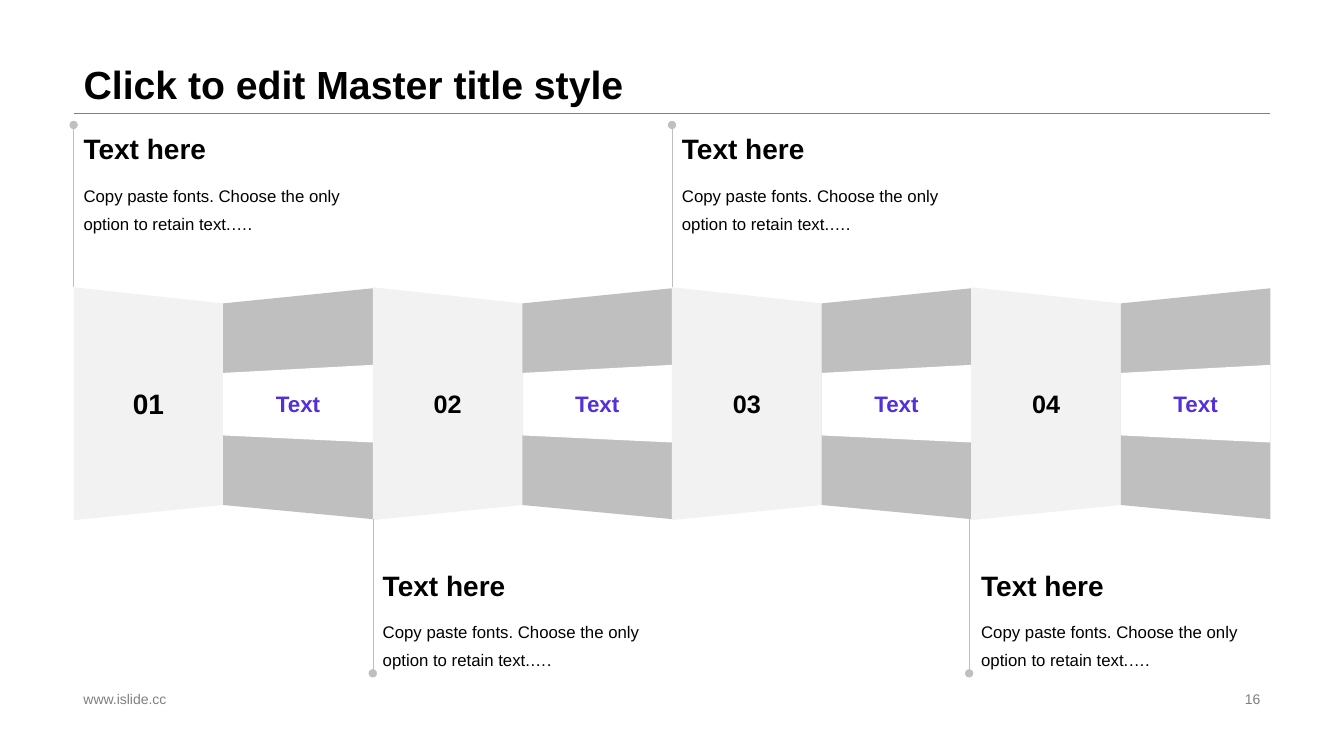
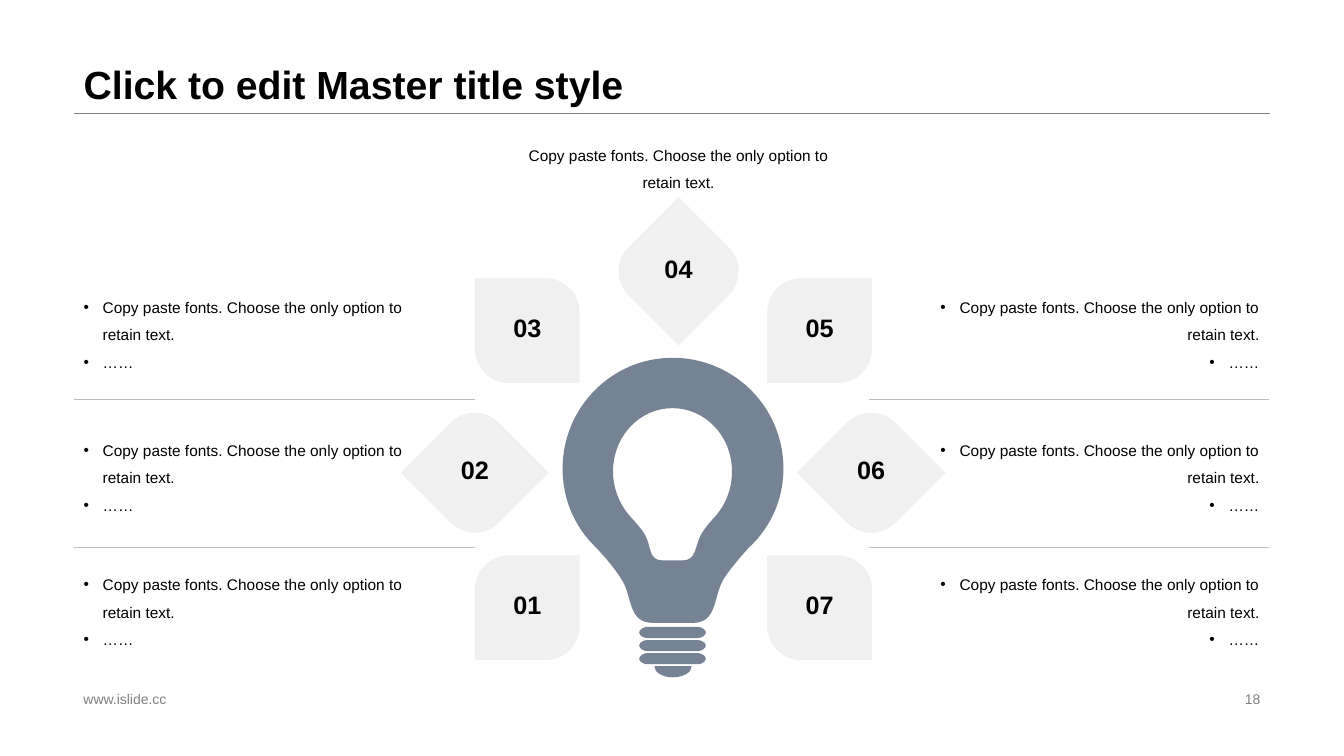
from dataclasses import dataclass

from lxml import etree
from pptx import Presentation
from pptx.dml.color import RGBColor
from pptx.enum.shapes import MSO_CONNECTOR, MSO_SHAPE
from pptx.enum.text import MSO_ANCHOR, MSO_AUTO_SIZE, PP_ALIGN
from pptx.oxml.ns import qn
from pptx.util import Inches, Pt


@dataclass(frozen=True)
class Theme:
    font: str = "Arial"
    ink: str = "000000"
    accent: str = "5330D9"
    muted: str = "808080"
    fold_light: str = "F2F2F2"
    fold_dark: str = "BFBFBF"
    paper: str = "FFFFFF"
    tile: str = "F0F0F0"
    bulb: str = "768394"
    hairline: float = 0.25
    title: int = 28
    heading: int = 20
    number: int = 18
    label: int = 16
    body: int = 12
    note: int = 11
    footer: int = 10


THEME = Theme()
LEFT, RIGHT = 0.73, 12.6
TITLE = "Click to edit Master title style"
FOOTER = "www.islide.cc"

# Folded band: number, number size, callout side, shift of the callout line
PANELS = [
    ("01", THEME.heading, "above", 0),
    ("02", THEME.number, "below", 0),
    ("03", THEME.number, "above", 0),
    ("04", THEME.number, "below", -0.02),
]
PANEL_LABEL = "Text"
CALLOUT_HEADING = "Text here"
CALLOUT_BODY = "Copy paste fonts. Choose the only option to retain text.…."
# Callout side: heading top, line start, line end
CALLOUT_SIDES = {"above": (1.24, 2.85, 1.24), "below": (5.57, 5.15, 6.68)}
FOLD = (RIGHT - LEFT) / (2 * len(PANELS))
# Fold heights: left top, right top, right bottom, left bottom
LIGHT_FOLD = (2.85, 3.01, 5.01, 5.16)
DARK_FOLD = (3.01, 2.86, 5.15, 5.01)
LABEL_STRIP = (3.7, 3.62, 4.39, 4.32)

# Tiles round the bulb: number, left, top, rotation, rounding of the two diagonals
ROUND = 0.326
TILE_SIZE = 1.04
TILES = [
    ("01", 4.71, 5.51, 0, (ROUND, 0)),
    ("02", 4.19, 4.17, 225, (ROUND, 0)),
    ("03", 4.71, 2.76, 0, (0, ROUND)),
    ("04", 6.21, 2.17, 135, (ROUND, 0)),
    ("05", 7.61, 2.76, 0, (ROUND, 0)),
    ("06", 8.12, 4.17, 225, (ROUND, 0)),
    ("07", 7.61, 5.51, 0, (0, ROUND)),
]
NOTE = "Copy paste fonts. Choose the only option to retain text."
NOTE_BULLETS = [NOTE, "……"]
NOTE_TOPS = [2.79, 4.21, 5.54]
DIVIDER_TOPS = [3.96, 5.43]
# Note column: text left, divider start, divider end, alignment
NOTE_COLUMNS = [
    (LEFT, LEFT, 4.71, PP_ALIGN.LEFT),
    (9.07, 8.62, 12.59, PP_ALIGN.RIGHT),
]

# Each outline starts at a point; two numbers make a straight step, six a cubic curve
GLASS_OUTLINES = [
    [(6.67, 3.55),
     (7.28, 3.55, 7.77, 4.04, 7.77, 4.65), (7.77, 4.96, 7.64, 5.24, 7.42, 5.44),
     (7.36, 5.51, 7.25, 5.63, 7.18, 5.74), (7.07, 5.92, 7.12, 6.18, 6.87, 6.18),
     (6.48, 6.18),
     (6.22, 6.18, 6.28, 5.92, 6.16, 5.74), (6.09, 5.63, 5.98, 5.5, 5.86, 5.38),
     (5.68, 5.18, 5.58, 4.93, 5.58, 4.65), (5.58, 4.04, 6.07, 3.55, 6.67, 3.55)],
    [(6.67, 4.05),
     (6.34, 4.05, 6.08, 4.33, 6.08, 4.68), (6.08, 4.84, 6.14, 4.99, 6.23, 5.1),
     (6.29, 5.17, 6.36, 5.24, 6.4, 5.31), (6.46, 5.42, 6.43, 5.56, 6.57, 5.56),
     (6.77, 5.56),
     (6.91, 5.56, 6.89, 5.42, 6.95, 5.31), (6.99, 5.24, 7.04, 5.18, 7.08, 5.14),
     (7.19, 5.02, 7.26, 4.86, 7.26, 4.68), (7.26, 4.33, 7, 4.05, 6.67, 4.05)],
]
BASE_OUTLINE = [
    (6.49, 6.61), (6.86, 6.61),
    (6.86, 6.67, 6.78, 6.72, 6.67, 6.72), (6.57, 6.72, 6.49, 6.67, 6.49, 6.61),
]
THREAD_TOPS = [6.22, 6.35, 6.48]


def set_all(target, values):
    for name, value in values.items():
        setattr(target, name, value)


def add_bullet(paragraph, indent=0.19):
    properties = paragraph._p.get_or_add_pPr()
    properties.set("marL", str(Inches(indent)))
    properties.set("indent", str(-Inches(indent)))
    etree.SubElement(properties, qn("a:buFont")).set("typeface", THEME.font)
    etree.SubElement(properties, qn("a:buChar")).set("char", "•")


def write(shape, lines, size, color=THEME.ink, bold=False, align=PP_ALIGN.LEFT,
          anchor=MSO_ANCHOR.MIDDLE, spacing=1.0, bullets=False):
    frame = shape.text_frame
    set_all(frame, {"word_wrap": True, "auto_size": MSO_AUTO_SIZE.NONE,
                    "vertical_anchor": anchor})
    for index, line in enumerate(lines):
        paragraph = frame.add_paragraph() if index else frame.paragraphs[0]
        paragraph.text = line
        if bullets:
            add_bullet(paragraph)
        set_all(paragraph, {"alignment": align, "line_spacing": spacing})
        font = paragraph.runs[0].font
        set_all(font, {"name": THEME.font, "size": Pt(size), "bold": bold})
        font.color.rgb = RGBColor.from_string(color)


def add_text(slide, box, lines, size, **format_values):
    text_box = slide.shapes.add_textbox(*map(Inches, box))
    write(text_box, lines, size, **format_values)


def add_line(slide, start, end, color, dot_at_end=False):
    connector = slide.shapes.add_connector(
        MSO_CONNECTOR.STRAIGHT, *map(Inches, (*start, *end)))
    connector.line.width = Pt(THEME.hairline)
    connector.line.color.rgb = RGBColor.from_string(color)
    if dot_at_end:
        line = connector.line._get_or_add_ln()
        etree.SubElement(line, qn("a:tailEnd")).set("type", "oval")
    etree.SubElement(connector._element.spPr, qn("a:effectLst"))


def paint(shape, color):
    """Give a shape a flat fill with no outline or shadow."""
    shape.shadow.inherit = False
    shape.fill.solid()
    shape.fill.fore_color.rgb = RGBColor.from_string(color)
    shape.line.fill.background()
    return shape


def bend(shape, steps):
    """Merge the three line segments of each six-number step into one cubic curve."""
    segments = iter(list(shape._element.iter(qn("a:lnTo"))))
    for step in steps:
        first = next(segments)
        if len(step) == 6:
            first.tag = qn("a:cubicBezTo")
            for _ in range(2):
                segment = next(segments)
                first.append(segment[0])
                segment.getparent().remove(segment)


def add_outline(slide, outlines, color):
    """Draw closed outlines of straight and curved steps as one filled shape."""
    builder = None
    for start, *steps in outlines:
        first = tuple(map(Inches, start))
        if builder is None:
            builder = slide.shapes.build_freeform(*first)
        else:
            builder.move_to(*first)
        points = [(Inches(step[index]), Inches(step[index + 1]))
                  for step in steps for index in range(0, len(step), 2)]
        builder.add_line_segments(points, close=True)
    shape = builder.convert_to_shape()
    bend(shape, [step for outline in outlines for step in outline[1:]])
    return paint(shape, color)


def thread_outline(top, left=6.34, right=7.0, height=0.11, cap=0.08):
    """Return the outline of a bar with rounded ends."""
    middle, bottom, pull = top + height / 2, top + height, height / 4
    start, end = left + cap, right - cap
    return [
        (start, top), (end, top),
        (end + cap / 2, top, right, middle - pull, right, middle),
        (right, middle + pull, end + cap / 2, bottom, end, bottom),
        (start, bottom),
        (start - cap / 2, bottom, left, middle + pull, left, middle),
        (left, middle - pull, start - cap / 2, top, start, top),
    ]


def add_base_slide(presentation, number):
    """Add a slide with the shared title, rule, footer and page number."""
    slide = presentation.slides.add_slide(presentation.slide_layouts[5])
    title = slide.shapes.title
    set_all(title, {"left": Inches(LEFT), "top": Inches(0),
                    "width": Inches(RIGHT - LEFT), "height": Inches(1.12)})
    write(title, [TITLE], THEME.title, bold=True, anchor=MSO_ANCHOR.BOTTOM, spacing=0.9)
    add_line(slide, (LEFT, 1.12), (RIGHT, 1.12), THEME.muted)
    add_text(slide, (LEFT, 6.82, 4.53, 0.23), [FOOTER], THEME.footer, color=THEME.muted)
    add_text(slide, (9.42, 6.82, 3.18, 0.23), [number], THEME.footer,
             color=THEME.muted, align=PP_ALIGN.RIGHT)
    return slide


def add_fold(slide, left, heights, color):
    sides = (left, left + FOLD, left + FOLD, left)
    return add_outline(slide, [list(zip(sides, heights))], color)


def add_callout(slide, left, side, line_shift):
    top, line_start, line_end = CALLOUT_SIDES[side]
    width, line_left = 2 * FOLD, left + line_shift
    add_line(slide, (line_left, line_start), (line_left, line_end), THEME.fold_dark,
             dot_at_end=True)
    add_text(slide, (left, top, width, 0.47), [CALLOUT_HEADING], THEME.heading, bold=True)
    add_text(slide, (left, top + 0.47, width, 0.68), [CALLOUT_BODY], THEME.body,
             anchor=MSO_ANCHOR.TOP, spacing=1.4)


def build_folded_band(presentation):
    slide = add_base_slide(presentation, "16")
    for index, (number, size, side, line_shift) in enumerate(PANELS):
        left = LEFT + index * 2 * FOLD
        panel = add_fold(slide, left, LIGHT_FOLD, THEME.fold_light)
        write(panel, [number], size, bold=True, align=PP_ALIGN.CENTER)
        add_fold(slide, left + FOLD, DARK_FOLD, THEME.fold_dark)
        strip = add_fold(slide, left + FOLD, LABEL_STRIP, THEME.paper)
        write(strip, [PANEL_LABEL], THEME.label, color=THEME.accent, bold=True,
              align=PP_ALIGN.CENTER)
        add_callout(slide, left, side, line_shift)


def build_bulb(presentation):
    slide = add_base_slide(presentation, "18")
    threads = [thread_outline(top) for top in THREAD_TOPS]
    add_outline(slide, [*GLASS_OUTLINES, *threads, BASE_OUTLINE], THEME.bulb)
    for number, left, top, rotation, rounding in TILES:
        tile = paint(slide.shapes.add_shape(
            MSO_SHAPE.ROUND_2_DIAG_RECTANGLE,
            *map(Inches, (left, top, TILE_SIZE, TILE_SIZE))), THEME.tile)
        tile.rotation = rotation
        for index, amount in enumerate(rounding):
            tile.adjustments[index] = amount
        add_text(slide, (left, top + 0.29, TILE_SIZE, 0.45), [number], THEME.number,
                 bold=True, align=PP_ALIGN.CENTER, anchor=MSO_ANCHOR.TOP)
    for left, divider_start, divider_end, align in NOTE_COLUMNS:
        for top in NOTE_TOPS:
            add_text(slide, (left, top, 3.52, 0.97), NOTE_BULLETS, THEME.note,
                     align=align, spacing=1.5, bullets=True)
        for top in DIVIDER_TOPS:
            add_line(slide, (divider_start, top), (divider_end, top), THEME.fold_dark)
    add_text(slide, (4.97, 1.24, 3.52, 0.78), [NOTE], THEME.note,
             align=PP_ALIGN.CENTER, spacing=1.5)


def main():
    presentation = Presentation()
    set_all(presentation, {"slide_width": Inches(13.33), "slide_height": Inches(7.5)})
    build_folded_band(presentation)
    build_bulb(presentation)
    presentation.save("out.pptx")


if __name__ == "__main__":
    main()
